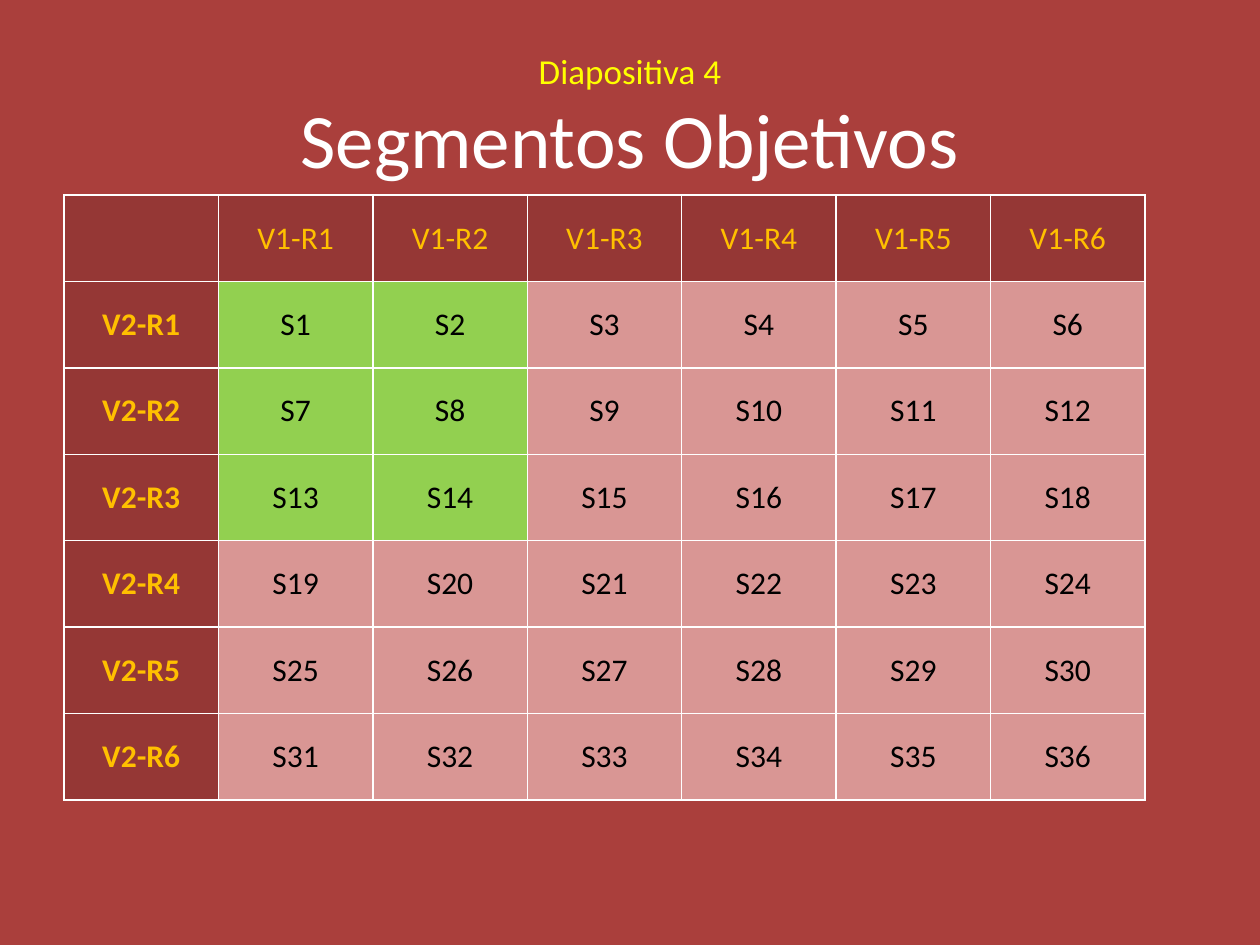
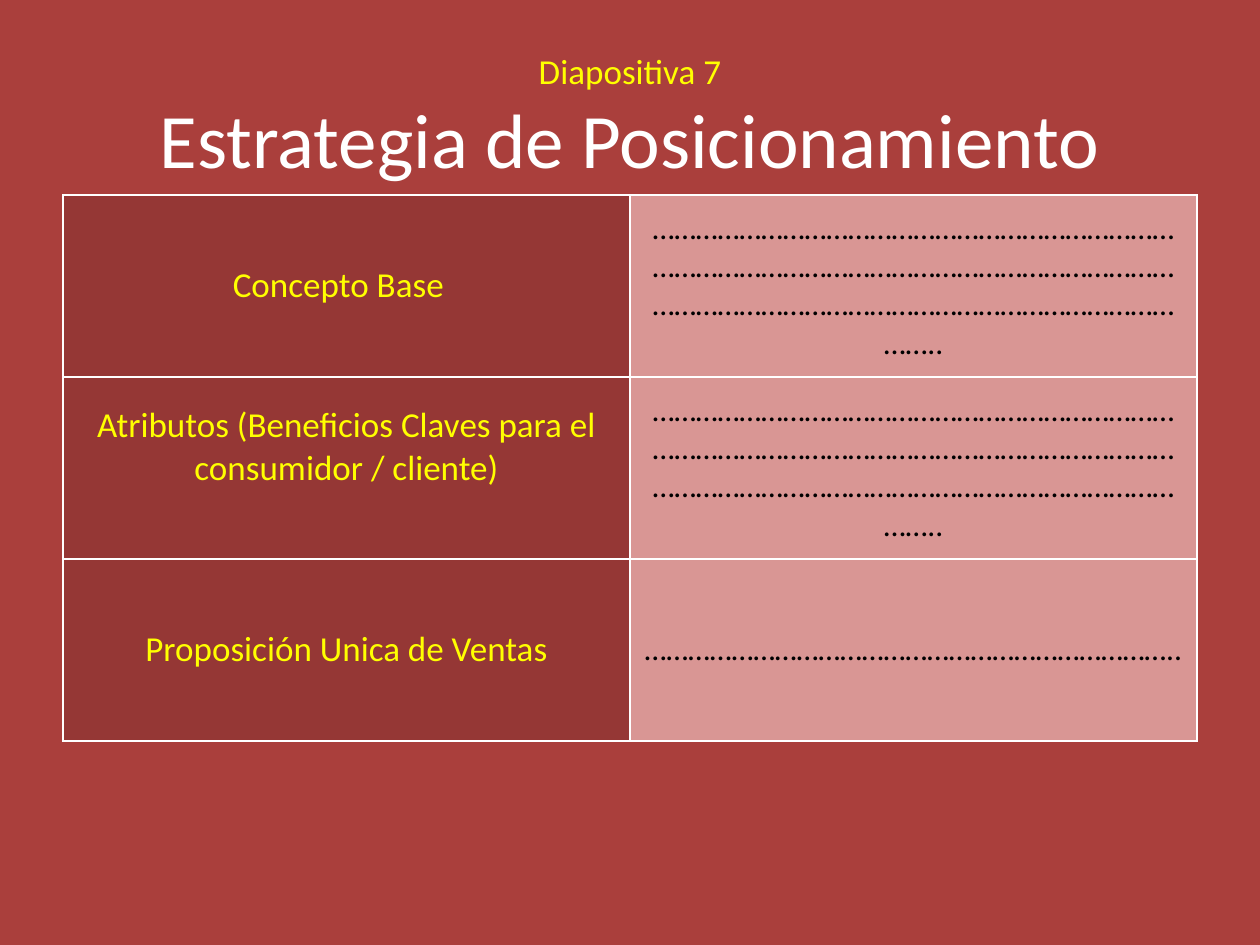
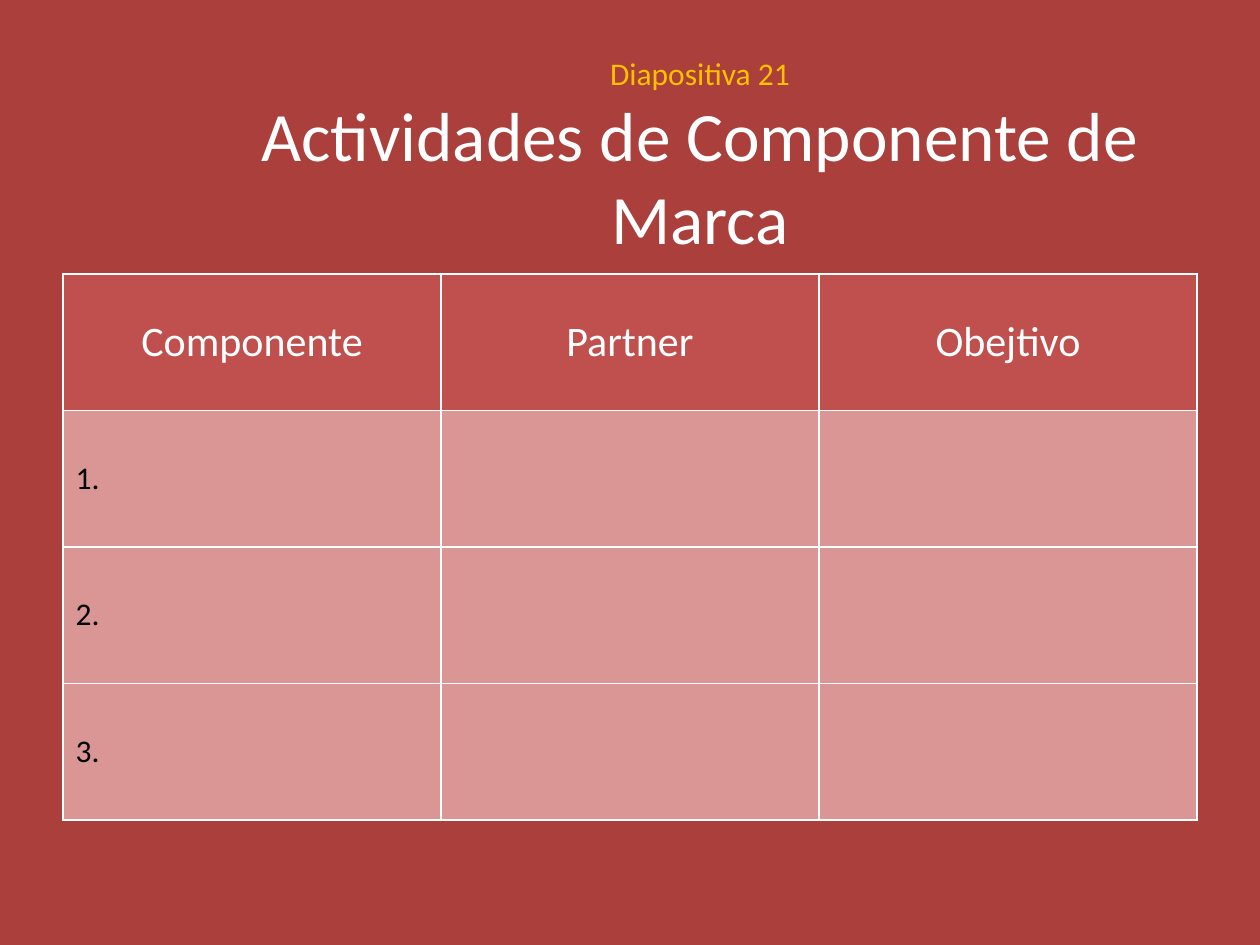
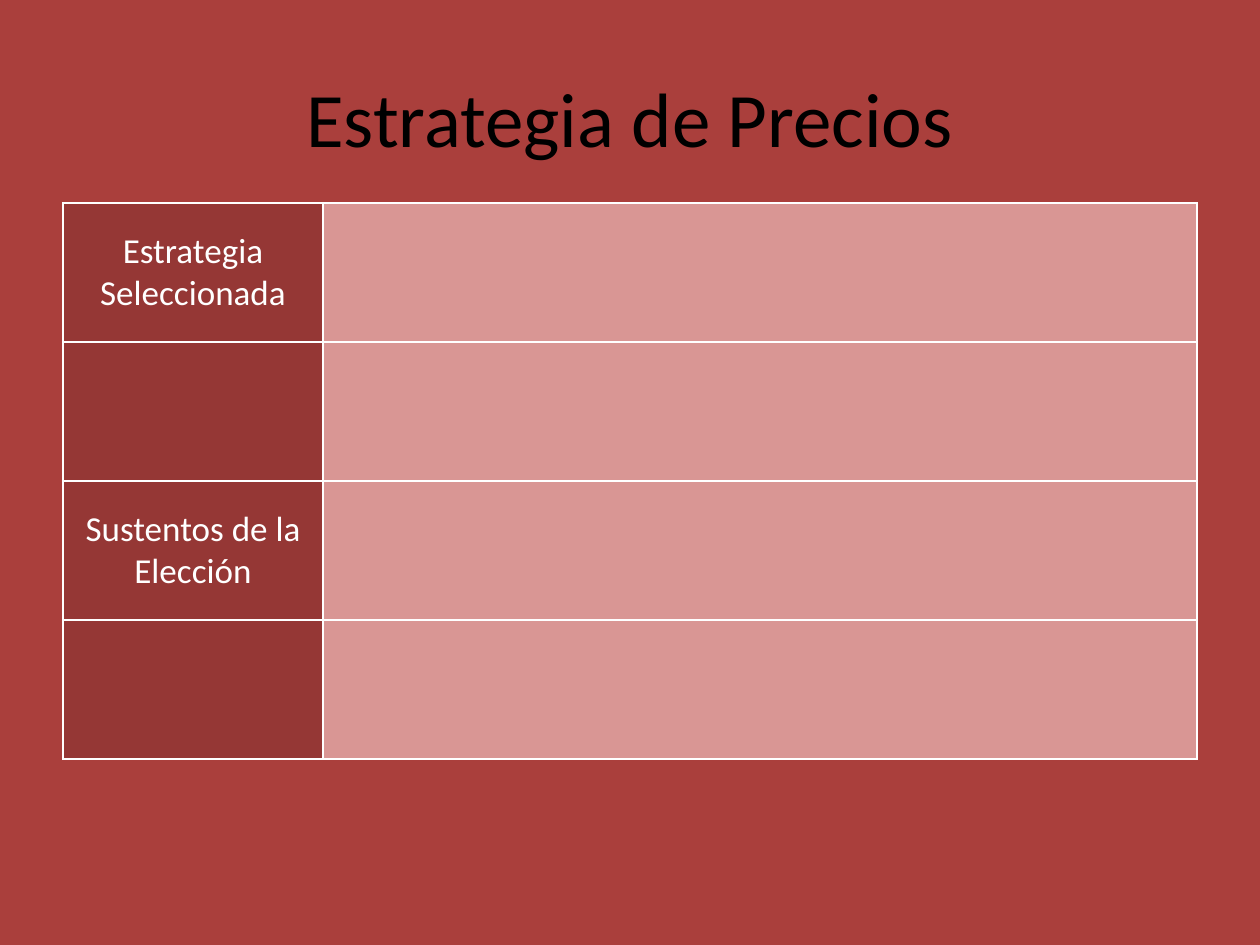
from collections import namedtuple
from lxml.etree import SubElement
from pptx import Presentation
from pptx.dml.color import RGBColor
from pptx.enum.text import MSO_ANCHOR as Anchor, PP_ALIGN as Align
from pptx.oxml.ns import qn
from pptx.util import Emu, Pt

EMU_PER_PX = 914400 / 126
FONT = "Calibri"
BACKGROUND = "AA3F3C"
DARK = "953735"
ACCENT = "C0504D"
PINK = "D99694"
GREEN = "92D050"
YELLOW = "FFFF00"
GOLD = "FFC000"
WHITE = "FFFFFF"
BLACK = "000000"
TITLE_AREA = (63, 38, 1134, 158)

Style = namedtuple("Style", "fill size color bold align", defaults=(False, Align.CENTER))
SEGMENT_HEADER = Style(DARK, 18, GOLD)
SEGMENT_LABEL = Style(DARK, 18, GOLD, True)
SEGMENT = Style(PINK, 18, BLACK)
TARGET_SEGMENT = Style(GREEN, 18, BLACK)
CONCEPT = Style(DARK, 20, YELLOW)
ACTIVITY_HEADER = Style(ACCENT, 24, WHITE)
ACTIVITY = Style(PINK, 18, BLACK, False, Align.LEFT)
PRICE_LABEL = Style(DARK, 20, WHITE)


def px(length):
    return Emu(round(length * EMU_PER_PX))


def rgb(color):
    return RGBColor.from_string(color)


def format_span(span, size, color, bold=False):
    span.font.name = FONT
    span.font.size = Pt(size)
    span.font.bold = bold
    span.font.color.rgb = rgb(color)


def add_page(deck):
    page = deck.slides.add_slide(deck.slide_layouts[6])
    page.background.fill.solid()
    page.background.fill.fore_color.rgb = rgb(BACKGROUND)
    return page


def add_title(page, lines, area=TITLE_AREA):
    box = page.shapes.add_textbox(*map(px, area))
    frame = box.text_frame
    frame.word_wrap = True
    frame.vertical_anchor = Anchor.MIDDLE
    para = frame.paragraphs[0]
    para.text = "\v".join(text for text, size, color in lines)
    para.alignment = Align.CENTER
    for span, (text, size, color) in zip(para.runs, lines):
        format_span(span, size, color)


def add_borders(cell):
    properties = cell._tc.get_or_add_tcPr()
    for side in ("lnL", "lnR", "lnT", "lnB"):
        line = SubElement(properties, qn(f"a:{side}"), w=str(Pt(1)))
        fill = SubElement(line, qn("a:solidFill"))
        SubElement(fill, qn("a:srgbClr"), val=WHITE)


def fill_cell(cell, text, style):
    add_borders(cell)
    cell.fill.solid()
    cell.fill.fore_color.rgb = rgb(style.fill)
    cell.vertical_anchor = Anchor.MIDDLE
    para = cell.text_frame.paragraphs[0]
    para.text = text
    para.alignment = style.align
    for span in para.runs:
        format_span(span, style.size, style.color, style.bold)


def add_grid(page, area, rows, style_of, widths=()):
    frame = page.shapes.add_table(len(rows), len(rows[0]), *map(px, area))
    table = frame.table
    table.first_row = False
    table.horz_banding = False
    for column, width in zip(table.columns, widths):
        column.width = px(width)
    for r, row in enumerate(rows):
        for c, text in enumerate(row):
            fill_cell(table.cell(r, c), text, style_of(r, c))
    return table


def segment_style(row, column):
    if row == 0:
        return SEGMENT_HEADER
    if column == 0:
        return SEGMENT_LABEL
    return TARGET_SEGMENT if row <= 3 and column <= 2 else SEGMENT


def concept_style(row, column):
    return SEGMENT if column else CONCEPT


def activity_style(row, column):
    return ACTIVITY if row else ACTIVITY_HEADER


def price_style(row, column):
    return SEGMENT if column else PRICE_LABEL


def add_segments(deck):
    page = add_page(deck)
    add_title(page, [("Diapositiva 4", 20, YELLOW), ("Segmentos Objetivos", 44, WHITE)])
    numbers = range(1, 7)
    rows = [[""] + [f"V1-R{n}" for n in numbers]]
    for row in numbers:
        rows.append([f"V2-R{row}"] + [f"S{6 * (row - 1) + n}" for n in numbers])
    add_grid(page, (64, 195, 1081, 605), rows, segment_style)


def add_positioning(deck):
    page = add_page(deck)
    add_title(page, [("Diapositiva 7", 20, YELLOW), ("Estrategia de Posicionamiento", 44, WHITE)])
    long_blank = "…" * 74 + ".."
    short_blank = "…" * 24 + ".."
    rows = [
        ["Concepto Base", long_blank],
        ["Atributos (Beneficios Claves para el consumidor / cliente)", long_blank],
        ["Proposición Unica de Ventas", short_blank],
    ]
    table = add_grid(page, (63, 195, 1134, 546), rows, concept_style)
    table.cell(0, 0).margin_right = px(29)
    table.cell(1, 0).margin_bottom = px(48)


def add_activities(deck):
    page = add_page(deck)
    lines = [("Diapositiva 21", 18, GOLD), ("Actividades de Componente de Marca", 39.6, WHITE)]
    add_title(page, lines, (203, 77, 994, 158))
    rows = [["Componente", "Partner", "Obejtivo"]]
    rows += [[f"{n}.", "", ""] for n in range(1, 4)]
    add_grid(page, (63, 274, 1134, 546), rows, activity_style)


def add_pricing(deck):
    page = add_page(deck)
    add_title(page, [("Estrategia de Precios", 44, BLACK)])
    labels = ["Estrategia Seleccionada", "", "Sustentos de la Elección", ""]
    rows = [[label, ""] for label in labels]
    add_grid(page, (63, 203, 1134, 556), rows, price_style, (260, 874))


def main():
    deck = Presentation()
    deck.slide_width = px(1260)
    deck.slide_height = px(945)
    add_segments(deck)
    add_positioning(deck)
    add_activities(deck)
    add_pricing(deck)
    deck.save("out.pptx")


if __name__ == "__main__":
    main()
